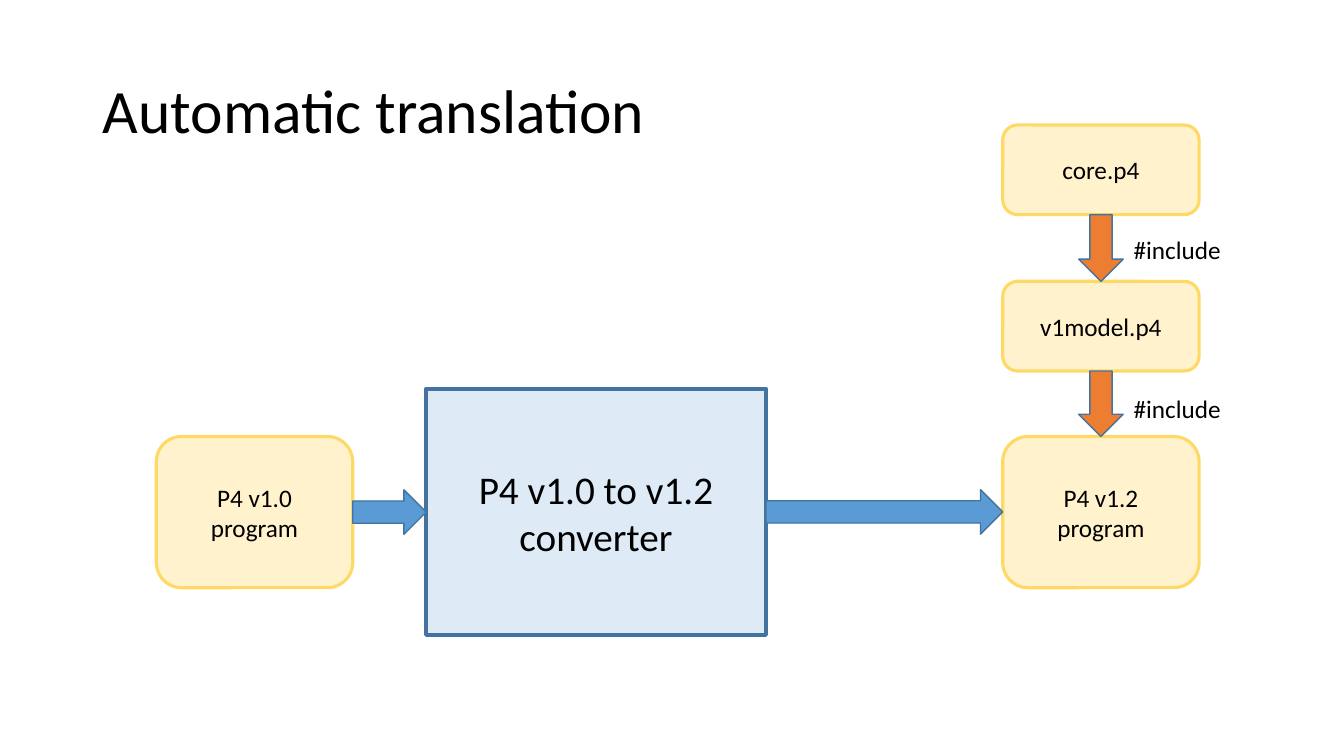
import pptx
import pptx.util
import pptx.dml.color
import pptx.enum.shapes
import pptx.enum.text

Cm = pptx.util.Cm
Pt = pptx.util.Pt
kinds = pptx.enum.shapes.MSO_SHAPE
align = pptx.enum.text.PP_ALIGN
anchor = pptx.enum.text.MSO_ANCHOR

title = ("Automatic translation", (2.34, 1.02, 29.21, 3.68))
yellow = {"kind": kinds.ROUNDED_RECTANGLE, "fill": "FFF2CC", "edge": "FFD966", "thick": 2.25, "size": 18}
blue = {"kind": kinds.RECTANGLE, "fill": "DEEBF7", "edge": "43739E", "thick": 3, "size": 28}
boxes = {
    "tool": ("P4 v1.0 to v1.2 converter", (10.74, 9.8, 8.56, 6.2), blue),
    "old": ("P4 v1.0\vprogram", (3.94, 11, 4.95, 3.81), yellow),
    "new": ("P4 v1.2\vprogram", (25.27, 11, 4.95, 3.81), yellow),
    "core": ("core.p4", (25.27, 3.15, 4.95, 2.26), yellow),
    "model": ("v1model.p4", (25.27, 7.09, 4.95, 2.26), yellow),
}
across = [("old", "tool"), ("tool", "new")]
down = [("core", "model"), ("model", "new")]
label = "#include"
tops = [5.77, 9.78]
thick = 1.12


def color(text):
    return pptx.dml.color.RGBColor.from_string(text)


def write(shape, text, size, side, place, wrap=True):
    frame = shape.text_frame
    for name, value in {"text": text, "word_wrap": wrap, "vertical_anchor": place}.items():
        setattr(frame, name, value)
    para = frame.paragraphs[0]
    para.alignment = side
    for run in para.runs:
        for name, value in {"size": Pt(size), "name": "Calibri"}.items():
            setattr(run.font, name, value)
        run.font.color.rgb = color("000000")
    return para


def draw(kind, area, fill, edge, width):
    shape = slide.shapes.add_shape(kind, *map(Cm, area))
    shape.shadow.inherit = False
    shape.fill.solid()
    shape.fill.fore_color.rgb = color(fill)
    shape.line.color.rgb = color(edge)
    shape.line.width = Pt(width)
    return shape


def arrow(x, y, span, fill, turn=0):
    area = (x - span / 2, y - thick / 2, span, thick)
    shape = draw(kinds.RIGHT_ARROW, area, fill, "43739E", 1)
    shape.rotation = turn


deck = pptx.Presentation()
deck.slide_width, deck.slide_height = Cm(33.87), Cm(19.05)
slide = deck.slides.add_slide(deck.slide_layouts[6])

text, area = title
head = slide.shapes.add_textbox(*map(Cm, area))
write(head, text, 44, align.LEFT, anchor.MIDDLE).line_spacing = 0.9

for text, area, look in boxes.values():
    shape = draw(look["kind"], area, look["fill"], look["edge"], look["thick"])
    write(shape, text, look["size"], align.CENTER, anchor.MIDDLE)

for start, end in across:
    x, y, w, h = boxes[start][1]
    left, right = x + w, boxes[end][1][0]
    arrow((left + right) / 2, y + h / 2, right - left, "5B9BD5")

for (start, end), top in zip(down, tops):
    x, y, w, h = boxes[start][1]
    high, low = y + h, boxes[end][1][1]
    arrow(x + w / 2, (high + low) / 2, low - high, "ED7D31", 90)
    note = slide.shapes.add_textbox(*map(Cm, (28.32, top, 2.74, 1.02)))
    write(note, label, 18, align.LEFT, anchor.TOP, False)

deck.save("out.pptx")
